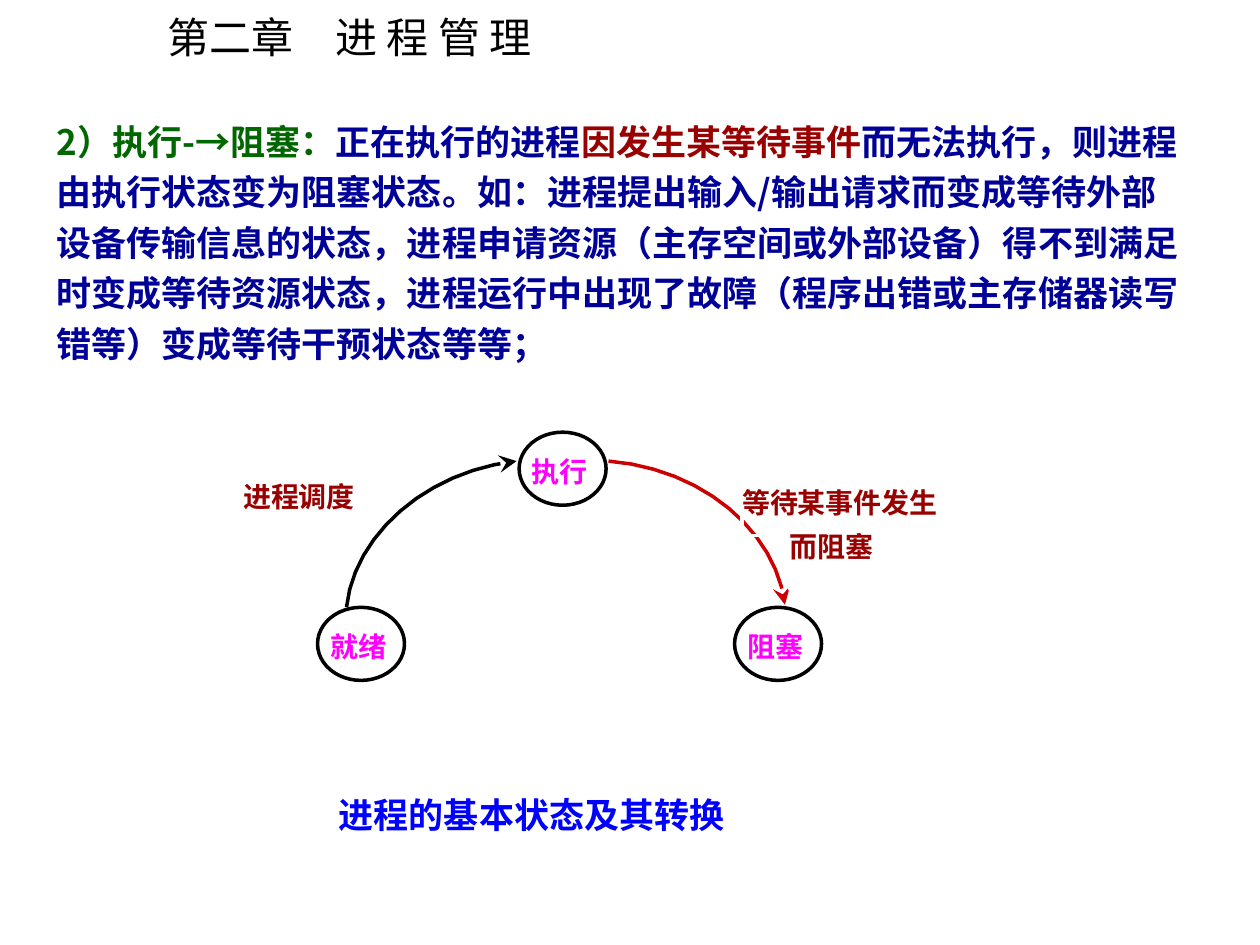
import pptx
import pptx.dml.color
import pptx.enum.shapes
import pptx.enum.text
import pptx.util
import pptx.oxml.ns
from lxml import etree

RGB = pptx.dml.color.RGBColor
BLACK = RGB(0x00, 0x00, 0x00)
WHITE = RGB(0xFF, 0xFF, 0xFF)
GREEN = RGB(0x00, 0x66, 0x00)
NAVY = RGB(0x00, 0x00, 0x99)
MAROON = RGB(0x99, 0x00, 0x00)
RED = RGB(0xCC, 0x00, 0x00)
PINK = RGB(0xFF, 0x00, 0xFF)
BLUE = RGB(0x00, 0x00, 0xFF)

SANS = "Noto Sans CJK SC"
SERIF = "Times New Roman"
KIND = pptx.enum.shapes.MSO_SHAPE
ALIGN = pptx.enum.text.PP_ALIGN
COLS, ROWS = 100, 75
WIDE, HIGH = pptx.util.Inches(10), pptx.util.Inches(7.5)


def across(cols):
    return round(WIDE * cols / COLS)


def down(rows):
    return round(HIGH * rows / ROWS)


def place(col, row, wide, high):
    return across(col), down(row), across(wide), down(high)


def style(run, font, size, color, bold):
    run.font.name = font
    run.font.size = pptx.util.Pt(size)
    run.font.color.rgb = color
    run.font.bold = bold
    east = etree.SubElement(run.font._element, pptx.oxml.ns.qn("a:ea"))
    east.set("typeface", SANS)


def add_text(slide, spot, parts, size, bold, wrap):
    frame = slide.shapes.add_textbox(*place(*spot)).text_frame
    frame.word_wrap = wrap
    para = frame.paragraphs[0]
    for text, color in parts:
        run = para.add_run()
        run.text = text
        style(run, SANS, size, color, bold)
    return para


def add_node(slide, kind, spot, text, color, line, inset=0.8, font=SERIF, size=16):
    shape = slide.shapes.add_shape(kind, *place(*spot))
    shape.shadow.inherit = False
    if kind == KIND.OVAL:
        shape.fill.solid()
        shape.fill.fore_color.rgb = WHITE
    else:
        shape.fill.background()
    shape.line.color.rgb = line
    shape.line.width = pptx.util.Pt(2)
    frame = shape.text_frame
    frame.margin_left = frame.margin_right = frame.margin_bottom = 0
    frame.margin_top = down(inset)
    frame.vertical_anchor = pptx.enum.text.MSO_ANCHOR.TOP
    frame.word_wrap = True
    frame.text = text
    para = frame.paragraphs[0]
    para.alignment = ALIGN.JUSTIFY
    style(para.runs[0], font, size, color, True)
    return para


def bend(knots, steps=12):
    for i in range(steps + 1):
        t = i / steps
        u = 1 - t
        share = (u ** 3, 3 * u * u * t, 3 * u * t * t, t ** 3)
        col, row = (sum(s * k[axis] for s, k in zip(share, knots)) for axis in (0, 1))
        yield across(col), down(row)


def add_arc(slide, knots, color):
    first, *rest = bend(knots)
    path = slide.shapes.build_freeform(*first)
    path.add_line_segments(rest, close=False)
    shape = path.convert_to_shape()
    shape.shadow.inherit = False
    shape.fill.background()
    shape.line.color.rgb = color
    shape.line.width = pptx.util.Pt(2)
    tip = etree.SubElement(shape.line._get_or_add_ln(), pptx.oxml.ns.qn("a:tailEnd"))
    for key, value in (("type", "stealth"), ("w", "lg"), ("len", "lg")):
        tip.set(key, value)


def main():
    deck = pptx.Presentation()
    deck.slide_width, deck.slide_height = WIDE, HIGH
    slide = deck.slides.add_slide(deck.slide_layouts[6])

    add_text(slide, (12.3, 0.4, 31.6, 5), [("第二章　进 程 管 理", BLACK)], 24, False, False)
    body = add_text(slide, (3.5, 8.4, 91.7, 21), [
        ("2）执行-→阻塞：", GREEN),
        ("正在执行的进程", NAVY),
        ("因发生某等待事件", MAROON),
        ("而无法执行，则进程由执行状态变为阻塞状态。如：进程提出输入/输出请求而变成"
         "等待外部设备传输信息的状态，进程申请资源（主存空间或外部设备）得不到满足时"
         "变成等待资源状态，进程运行中出现了故障（程序出错或主存储器读写错等）变成"
         "等待干预状态等等；", NAVY),
    ], 20, True, True)
    body.line_spacing = pptx.util.Pt(28.8)

    add_node(slide, KIND.RECTANGLE, (19.3, 37.3, 12.6, 4.6), "进程调度", MAROON, WHITE)
    for text, col, row in (("执行", 41.2, 34.3), ("就绪", 25.2, 48.2), ("阻塞", 58.3, 48.2)):
        add_node(slide, KIND.OVAL, (col, row, 6.9, 5.8), text, PINK, BLACK, 0.9)

    add_arc(slide, [(48.3, 36.6), (55.8, 37.2), (61.6, 42.2), (62.3, 48)], RED)
    add_arc(slide, [(27.5, 48.2), (28.1, 42.5), (33.8, 37.4), (41, 36.6)], BLACK)

    add_node(slide, KIND.RECTANGLE, (58.9, 37.7, 17.2, 4.8), "等待某事件发生", MAROON, WHITE)
    add_node(slide, KIND.RECTANGLE, (62.7, 42, 10.3, 4.8), "而阻塞", MAROON, WHITE, 0)
    title = add_node(slide, KIND.RECTANGLE, (25.3, 62.2, 40, 4.6), "进程的基本状态及其转换",
                     BLUE, WHITE, 0.8, SANS, 20)
    title._p.get_or_add_pPr().set("indent", str(across(1.6)))

    deck.save("out.pptx")


if __name__ == "__main__":
    main()
